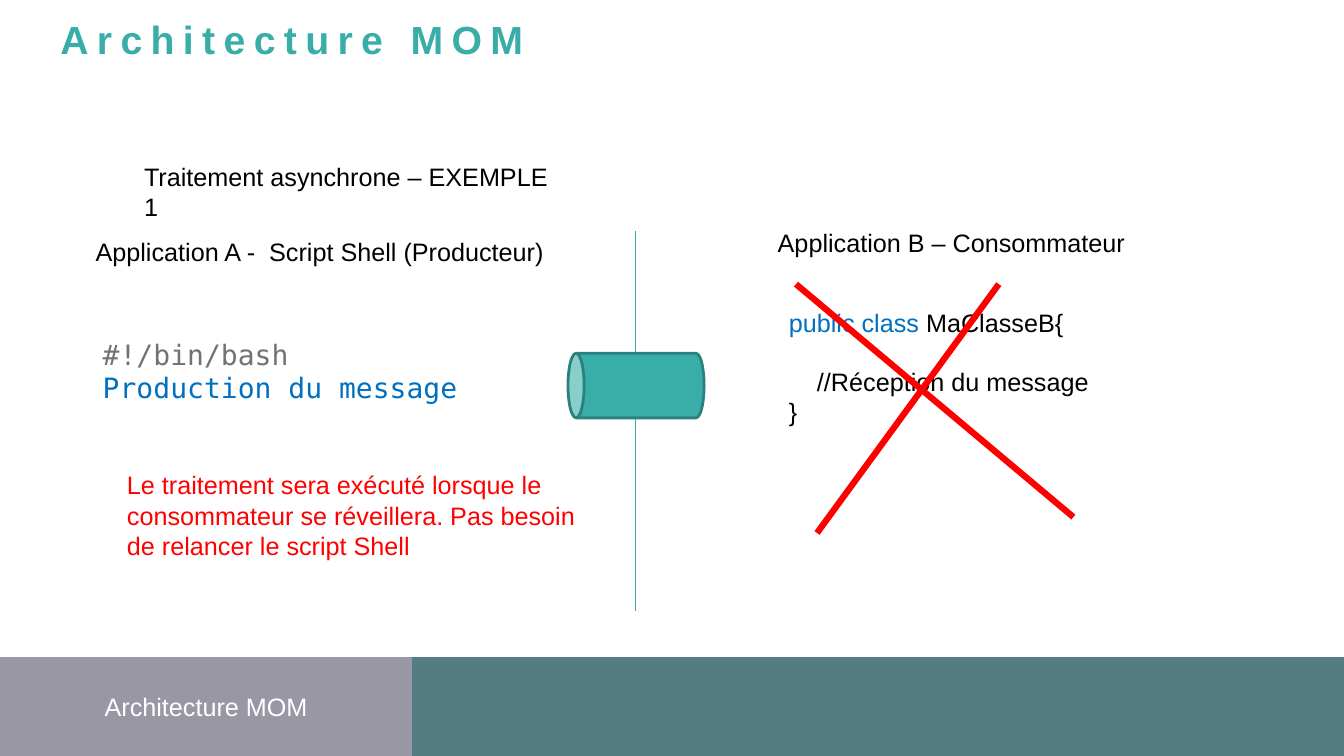
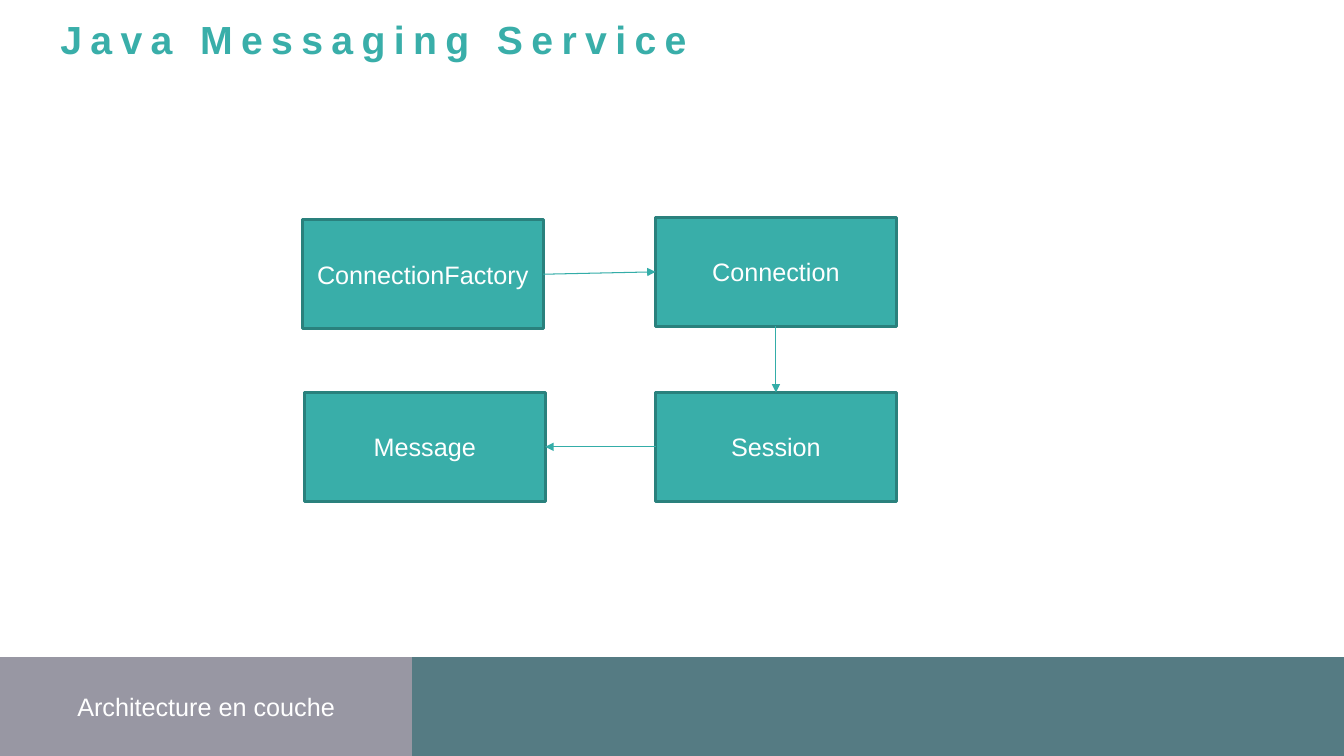
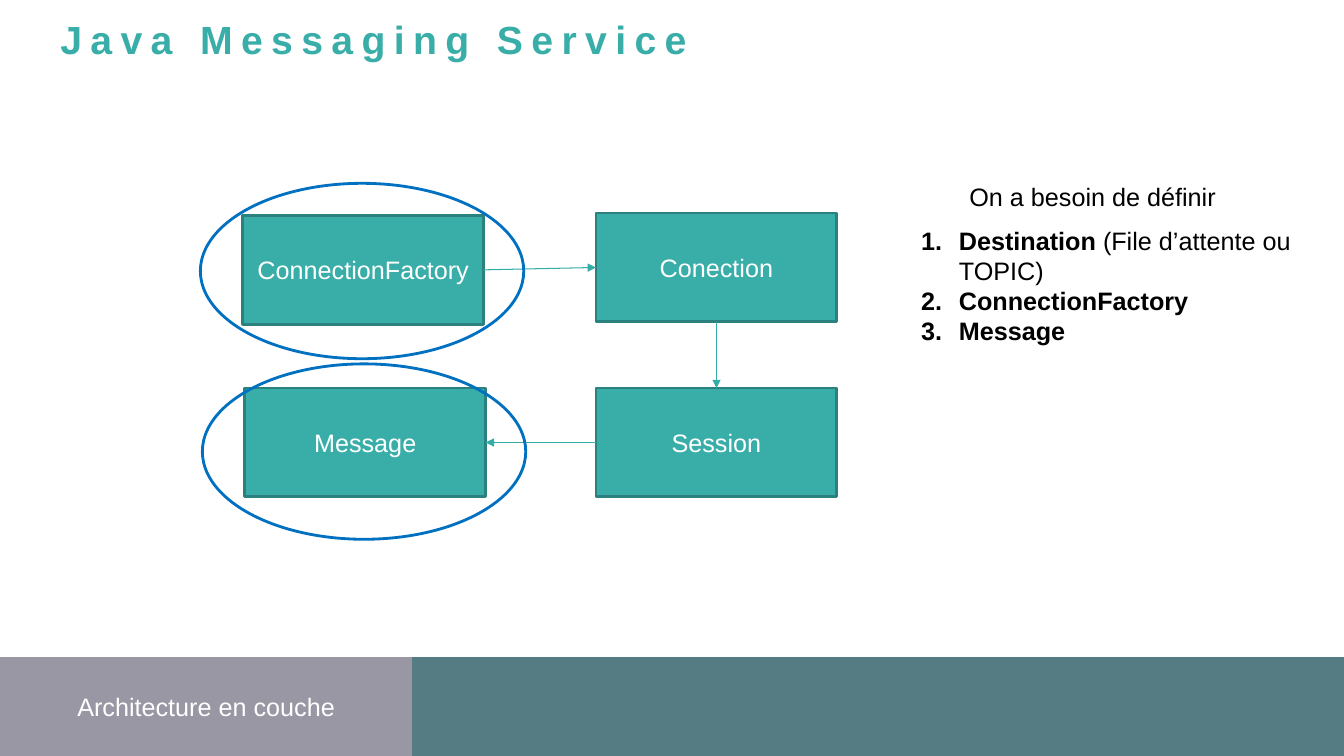
from dataclasses import dataclass
from typing import NamedTuple

from pptx import Presentation
from pptx.dml.color import RGBColor
from pptx.enum.shapes import MSO_CONNECTOR, MSO_SHAPE
from pptx.enum.text import MSO_ANCHOR, MSO_AUTO_SIZE, PP_ALIGN
from pptx.oxml.ns import qn
from pptx.util import Cm, Pt
from lxml.etree import SubElement

rgb = RGBColor.from_string
TOP, LEFT, BOTTOM, RIGHT = range(4)
TITLE_AND_BODY, TITLE_ONLY = 1, 5


@dataclass(frozen=True)
class Theme:
    teal: RGBColor = rgb("39AEA9")
    teal_line: RGBColor = rgb("34ADA8")
    teal_dark: RGBColor = rgb("2A817D")
    footer_gray: RGBColor = rgb("9897A3")
    footer_teal: RGBColor = rgb("557B83")
    blue: RGBColor = rgb("0070C0")
    red: RGBColor = rgb("FF0000")
    gray: RGBColor = rgb("767171")
    black: RGBColor = rgb("000000")
    white: RGBColor = rgb("FFFFFF")
    font: str = "Arial"
    code_font: str = "DejaVu Sans Mono"
    title_size: Pt = Pt(28)
    code_size: Pt = Pt(20)
    text_size: Pt = Pt(18)
    blank_line: Pt = Pt(20.7)
    thin: Pt = Pt(0.75)
    border: Pt = Pt(2)
    thick: Pt = Pt(4.5)


THEME = Theme()


class Box(NamedTuple):
    """A rectangle in centimetres."""
    left: float
    top: float
    width: float
    height: float

    def inner(self, left, top, width, height):
        """Return a box whose corner is counted from this one's corner."""
        return Box(self.left + left, self.top + top, width, height)

    def lengths(self):
        return [Cm(value) for value in self]


SLIDE = Box(0, 0, 33.87, 19.05)
TITLE = Box(1.52, 0.69, 16.41, 0.89)
FOOTER = Box(0, 16.56, 33.87, 2.49)
FOOTER_LABEL_WIDTH = 10.39
NODE_WIDTH, NODE_HEIGHT = 6.07, 2.74


def style(paragraph, color=THEME.black, size=THEME.text_size, name=THEME.font):
    font = paragraph.font
    font.name, font.size, font.color.rgb = name, size, color


def add_run(paragraph, text, color=None, bold=None):
    run = paragraph.add_run()
    run.text = text
    run.font.bold = bold
    if color is not None:
        run.font.color.rgb = color


def fit_frame(frame, margin=None):
    frame.word_wrap = True
    frame.auto_size = MSO_AUTO_SIZE.NONE
    frame.vertical_anchor = MSO_ANCHOR.TOP
    if margin is not None:
        frame.margin_left = frame.margin_right = margin
        frame.margin_top = frame.margin_bottom = margin


def move(shape, box):
    shape.left, shape.top, shape.width, shape.height = box.lengths()


def add_text(slide, box, *lines, margin=None):
    """Add a text box with one plain paragraph a line; return its paragraphs."""
    frame = slide.shapes.add_textbox(*box.lengths()).text_frame
    fit_frame(frame, margin)
    frame.text = "\n".join(lines)
    for paragraph in frame.paragraphs:
        style(paragraph)
    return frame.paragraphs


def add_preset(slide, preset, box, fill=None, line=None, text=""):
    shape = slide.shapes.add_shape(preset, *box.lengths())
    shape.shadow.inherit = False
    if fill is None:
        shape.fill.background()
    else:
        shape.fill.solid()
        shape.fill.fore_color.rgb = fill
    if line is None:
        shape.line.fill.background()
    else:
        shape.line.color.rgb = line
        shape.line.width = THEME.border
    if text:
        shape.text_frame.text = text
        shape.text_frame.word_wrap = True
        shape.text_frame.vertical_anchor = MSO_ANCHOR.MIDDLE
        paragraph = shape.text_frame.paragraphs[0]
        paragraph.alignment = PP_ALIGN.CENTER
        style(paragraph, THEME.white)
    return shape


def add_line(slide, start=(0, 0), end=(0, 0), color=THEME.teal_line, width=THEME.thin):
    ends = [Cm(value) for value in (*start, *end)]
    connector = slide.shapes.add_connector(MSO_CONNECTOR.STRAIGHT, *ends)
    connector.line.color.rgb = color
    connector.line.width = width
    SubElement(connector.element.spPr, qn("a:effectLst"))
    return connector


def add_arrow(slide, source, source_side, target, target_side):
    arrow = add_line(slide)
    arrow.begin_connect(source, source_side)
    arrow.end_connect(target, target_side)
    SubElement(arrow.line._get_or_add_ln(), qn("a:tailEnd"), type="triangle")


def add_footer(slide, box, label):
    label_box = box.inner(0, 0, FOOTER_LABEL_WIDTH, box.height)
    band_box = box.inner(FOOTER_LABEL_WIDTH, 0, box.width - FOOTER_LABEL_WIDTH, box.height)
    add_preset(slide, MSO_SHAPE.RECTANGLE, label_box, THEME.footer_gray, text=label)
    add_preset(slide, MSO_SHAPE.RECTANGLE, band_box, THEME.footer_teal)


def add_base_slide(presentation, layout, title, footer):
    """Add a slide with the shared title style and footer band."""
    slide = presentation.slides.add_slide(presentation.slide_layouts[layout])
    title_shape = slide.shapes.title
    move(title_shape, TITLE)
    fit_frame(title_shape.text_frame, margin=0)
    title_shape.text_frame.text = title
    paragraph = title_shape.text_frame.paragraphs[0]
    paragraph.alignment = PP_ALIGN.LEFT
    paragraph.line_spacing = Pt(25)
    style(paragraph, THEME.teal, THEME.title_size)
    paragraph.font.bold = True
    paragraph.font._element.set("spc", "600")
    add_footer(slide, FOOTER, footer)
    return slide


def add_producer(slide, box):
    add_text(slide, box.inner(1.22, 0, 11.2, 1.02), "Traitement asynchrone – EXEMPLE 1")
    add_text(slide, box.inner(0, 1.88, 12.45, 1.02),
             "Application A -  Script Shell (Producteur)")
    shebang, action = add_text(slide, box.inner(0.43, 4.56, 9.1, 1.7),
                               "#!/bin/bash", "Production du message", margin=0)
    style(shebang, THEME.gray, THEME.code_size, THEME.code_font)
    style(action, THEME.blue, THEME.code_size, THEME.code_font)
    note, = add_text(slide, box.inner(0.79, 7.77, 12.67, 2.54),
                     "Le traitement sera exécuté lorsque le consommateur se réveillera. "
                     "Pas besoin de relancer le script Shell")
    style(note, THEME.red)


def add_queue(slide, box):
    """Draw the vertical divider with the message pipe lying across it."""
    center = box.left + box.width / 2
    add_line(slide, (center, box.top), (center, box.top + box.height))
    pipe_box = Box(center - 0.8, box.top + 2.18, 1.63, 3.43)
    pipe = add_preset(slide, MSO_SHAPE.CAN, pipe_box, THEME.teal, THEME.teal_dark)
    pipe.adjustments[0] = 0.25
    pipe.rotation = 270


def add_consumer(slide, box):
    add_text(slide, box.inner(0, 0, 11.61, 1.02), "Application B – Consommateur")
    declaration, comment, _ = add_text(slide, box.inner(0.28, 2.01, 10.69, 3.3),
                                       "", "//Réception du message", "}")
    add_run(declaration, "public class", THEME.blue)
    add_run(declaration, " MaClasseB{")
    comment.space_before = THEME.blank_line
    comment._p.get_or_add_pPr().set("marL", str(Cm(0.71)))
    for start, end in (((0.71, 1.55), (7.7, 7.42)), ((5.82, 1.55), (1.24, 7.82))):
        add_line(slide, (box.left + start[0], box.top + start[1]),
                 (box.left + end[0], box.top + end[1]), THEME.red, THEME.thick)


def add_jms_diagram(slide, box, connection_label):
    """Draw the four linked JMS objects; return the factory and message nodes."""
    right, lower = box.width - NODE_WIDTH, box.height - NODE_HEIGHT
    factory, connection, session, message = [
        add_preset(slide, MSO_SHAPE.RECTANGLE,
                   box.inner(left, top, NODE_WIDTH, NODE_HEIGHT),
                   THEME.teal, THEME.teal_dark, label)
        for label, left, top in (("ConnectionFactory", 0, 0.06),
                                 (connection_label, right, 0),
                                 ("Session", right, lower),
                                 ("Message", 0.05, lower))]
    add_arrow(slide, factory, RIGHT, connection, LEFT)
    add_arrow(slide, connection, BOTTOM, session, TOP)
    add_arrow(slide, session, LEFT, message, RIGHT)
    return factory, message


def add_highlight(slide, node, rise):
    """Ring a node with an ellipse that starts the given rise above it."""
    ring = Box(node.left.cm - 1.07, node.top.cm - rise, 8.15, 4.42)
    add_preset(slide, MSO_SHAPE.OVAL, ring, line=THEME.blue)


def add_requirements(slide, box):
    add_text(slide, box.inner(1.22, 0, 7.8, 1.02), "On a besoin de définir")
    body = slide.placeholders[1]
    move(body, box.inner(0, 1.09, box.width, box.height - 1.09))
    frame = body.text_frame
    fit_frame(frame)
    items = (("Destination", " (File d’attente ou TOPIC)"),
             ("ConnectionFactory", ""), ("Message", ""))
    frame.text = "\n" * (len(items) - 1)
    for paragraph, (term, detail) in zip(frame.paragraphs, items):
        style(paragraph)
        paragraph.space_before = Pt(0)
        add_run(paragraph, term, bold=True)
        if detail:
            add_run(paragraph, detail)
        properties = paragraph._p.get_or_add_pPr()
        properties.set("marL", str(Cm(0.95)))
        properties.set("indent", str(-Cm(0.95)))
        numbering = properties.makeelement(qn("a:buAutoNum"), {"type": "arabicPeriod"})
        properties.find(qn("a:defRPr")).addprevious(numbering)


def build_mom_slide(presentation):
    slide = add_base_slide(presentation, TITLE_ONLY, "Architecture MOM", "Architecture MOM")
    add_producer(slide, Box(2.16, 3.94, 13.46, 10.31))
    add_queue(slide, Box(14.3, 5.82, 3.43, 9.57))
    add_consumer(slide, Box(19.35, 5.61, 11.61, 7.82))


def build_jms_slide(presentation):
    slide = add_base_slide(presentation, TITLE_ONLY,
                           "Java Messaging Service", "Architecture en couche")
    add_jms_diagram(slide, Box(7.62, 5.48, 14.97, 7.15), "Connection")


def build_jms_needs_slide(presentation):
    slide = add_base_slide(presentation, TITLE_AND_BODY,
                           "Java Messaging Service", "Architecture en couche")
    factory, message = add_jms_diagram(slide, Box(6.12, 5.37, 14.97, 7.15), "Conection")
    add_highlight(slide, factory, 0.81)
    add_highlight(slide, message, 0.61)
    add_requirements(slide, Box(22.96, 4.45, 10.9, 5.15))


def main():
    presentation = Presentation()
    presentation.slide_width = Cm(SLIDE.width)
    presentation.slide_height = Cm(SLIDE.height)
    build_mom_slide(presentation)
    build_jms_slide(presentation)
    build_jms_needs_slide(presentation)
    presentation.save("out.pptx")


if __name__ == "__main__":
    main()
